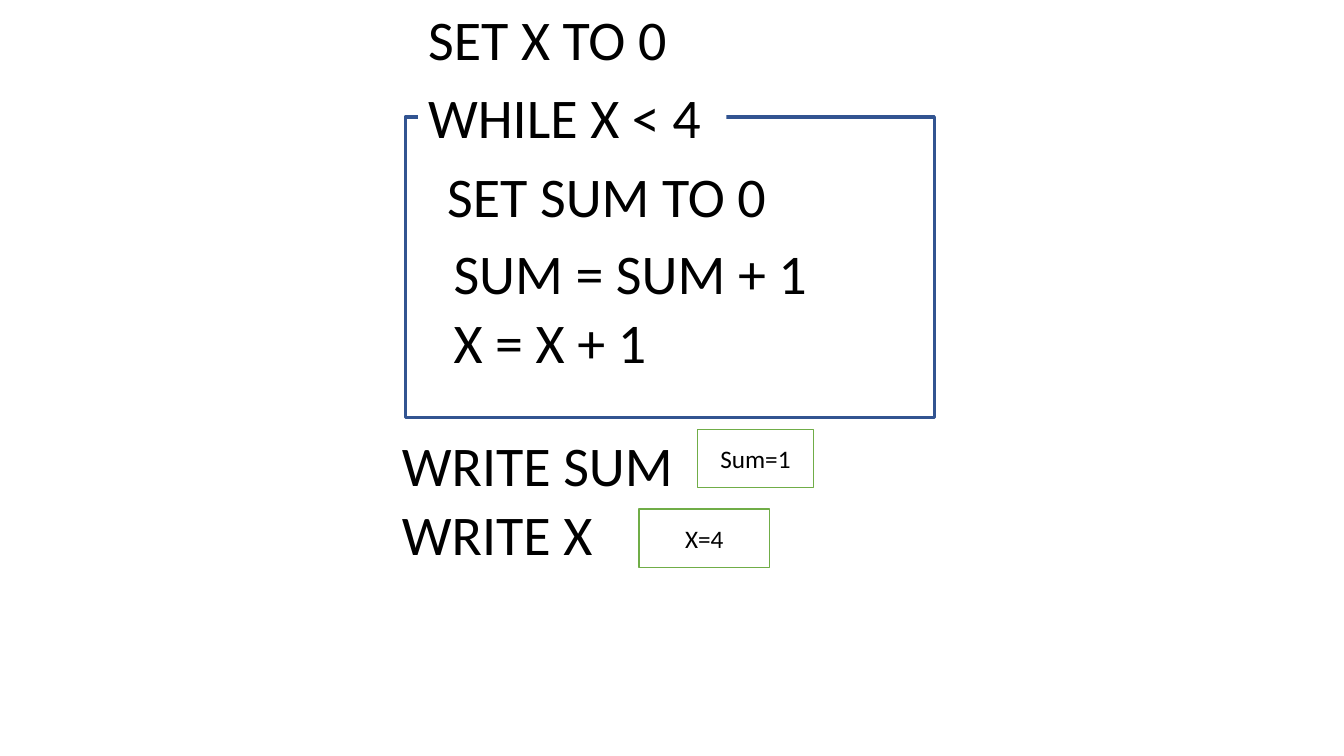
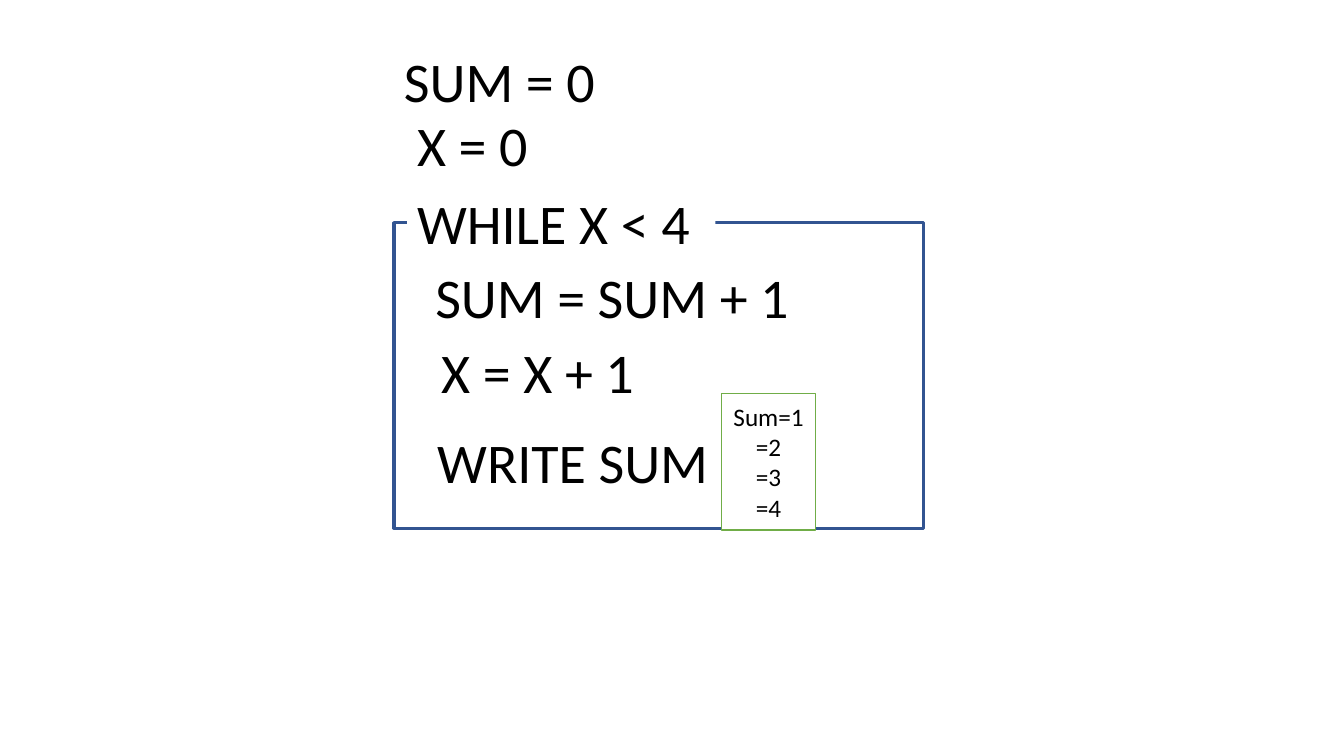
"""Builds two slides that trace WHILE loops and the values they write."""
from dataclasses import dataclass

from pptx import Presentation
from pptx.dml.color import RGBColor
from pptx.enum.shapes import MSO_SHAPE
from pptx.enum.text import MSO_ANCHOR, MSO_AUTO_SIZE, PP_ALIGN
from pptx.shapes.autoshape import Shape
from pptx.slide import Slide
from pptx.util import Cm, Pt

RECTANGLE = MSO_SHAPE.RECTANGLE
MIDDLE = MSO_ANCHOR.MIDDLE
GROW = MSO_AUTO_SIZE.SHAPE_TO_FIT_TEXT
LEFT = PP_ALIGN.LEFT
CENTER = PP_ALIGN.CENTER
BLANK_LAYOUT = 6


@dataclass(frozen=True)
class Theme:
    """Colours, font, type sizes and line widths."""
    paper: RGBColor = RGBColor(0xFF, 0xFF, 0xFF)
    ink: RGBColor = RGBColor(0, 0, 0)
    frame: RGBColor = RGBColor(0x32, 0x54, 0x91)
    output: RGBColor = RGBColor(0x70, 0xAD, 0x47)
    font: str = "Calibri"
    code_size: float = 40
    output_size: float = 18
    frame_width: float = 2.25
    output_width: float = 1


@dataclass(frozen=True)
class Statement:
    """One line of pseudocode and its top left corner in centimetres."""
    text: str
    left: float
    top: float


@dataclass(frozen=True)
class Area:
    """A rectangle in centimetres."""
    left: float
    top: float
    width: float
    height: float


@dataclass(frozen=True)
class Output:
    """The values a WRITE statement shows."""
    text: str
    area: Area


@dataclass(frozen=True)
class Trace:
    """One slide: the loop frame, the statements and the outputs."""
    frame: Area
    statements: tuple[Statement, ...]
    outputs: tuple[Output, ...]


THEME = Theme()
STATEMENT_HEIGHT = 1.97
CONDITION = "WHILE X < 4 "
CONDITION_INDENT = 0.33
CONDITION_RISE = 0.99
STATEMENT_WIDTHS = {
    CONDITION: 7.77,
    "SET X TO 0 ": 6.91,
    "SET SUM TO 0 ": 8.94,
    "SUM = 0 ": 5.69,
    "X = 0 ": 3.63,
    "SUM = SUM + 1 ": 9.83,
    "X = X + 1 ": 5.74,
    "WRITE SUM": 7.42,
    "WRITE X": 5.36,
}

TRACES = (
    Trace(
        Area(10.21, 2.95, 13.34, 7.57),
        (
            Statement("SET X TO 0 ", 10.54, 0),
            Statement("SET SUM TO 0 ", 11.02, 3.94),
            Statement("SUM = SUM + 1 ", 11.18, 5.89),
            Statement("X = X + 1 ", 11.18, 7.62),
            Statement("WRITE SUM", 9.88, 10.72),
            Statement("WRITE X", 9.88, 12.47),
        ),
        (
            Output("X=4", Area(16.1, 12.83, 3.3, 1.47)),
            Output("Sum=1", Area(17.58, 10.82, 2.92, 1.47)),
        ),
    ),
    Trace(
        Area(9.93, 5.61, 13.34, 7.7),
        (
            Statement("X = 0 ", 10.26, 2.67),
            Statement("SUM = 0 ", 9.93, 1.04),
            Statement("SUM = SUM + 1 ", 10.72, 6.5),
            Statement("X = X + 1 ", 10.87, 8.38),
            Statement("WRITE SUM", 10.77, 10.64),
        ),
        (Output("Sum=1\n=2\n=3\n=4", Area(18.19, 9.91, 2.36, 3.45)),),
    ),
)


def place(area: Area) -> tuple[Cm, Cm, Cm, Cm]:
    """Return the position and size of an area as lengths."""
    return Cm(area.left), Cm(area.top), Cm(area.width), Cm(area.height)


def write(box: Shape, text: str, size: float, alignment: PP_ALIGN) -> None:
    """Set the text of a box and format its runs."""
    box.text_frame.text = text
    for para in box.text_frame.paragraphs:
        para.alignment = alignment
        for span in para.runs:
            span.font.name = THEME.font
            span.font.size = Pt(size)
            span.font.color.rgb = THEME.ink


def add_rectangle(page: Slide, area: Area) -> Shape:
    """Add a rectangle without shadow, fill or line."""
    box = page.shapes.add_shape(RECTANGLE, *place(area))
    box.shadow.inherit = False
    box.fill.background()
    box.line.fill.background()
    return box


def fill_paper(box: Shape) -> None:
    """Fill a box with the paper colour."""
    box.fill.solid()
    box.fill.fore_color.rgb = THEME.paper


def outline(box: Shape, color: RGBColor, width: float) -> None:
    """Give a box a solid outline."""
    box.line.color.rgb = color
    box.line.width = Pt(width)


def add_statement(page: Slide, statement: Statement) -> Shape:
    """Add one unwrapped line of pseudocode."""
    area = Area(statement.left, statement.top,
                STATEMENT_WIDTHS[statement.text], STATEMENT_HEIGHT)
    box = page.shapes.add_textbox(*place(area))
    write(box, statement.text, THEME.code_size, LEFT)
    box.text_frame.word_wrap = False
    box.text_frame.auto_size = GROW
    return box


def add_loop(page: Slide, frame: Area) -> None:
    """Add the loop frame with the condition interrupting its top edge."""
    outline(add_rectangle(page, frame), THEME.frame, THEME.frame_width)
    condition = Statement(CONDITION, frame.left + CONDITION_INDENT,
                          frame.top - CONDITION_RISE)
    fill_paper(add_statement(page, condition))


def add_output(page: Slide, output: Output) -> None:
    """Add an outlined box with the written values."""
    box = add_rectangle(page, output.area)
    fill_paper(box)
    outline(box, THEME.output, THEME.output_width)
    write(box, output.text, THEME.output_size, CENTER)
    box.text_frame.word_wrap = True
    box.text_frame.vertical_anchor = MIDDLE


def main() -> None:
    """Build and save the deck."""
    deck = Presentation()
    deck.slide_width, deck.slide_height = Cm(33.87), Cm(19.05)
    for trace in TRACES:
        page = deck.slides.add_slide(deck.slide_layouts[BLANK_LAYOUT])
        add_loop(page, trace.frame)
        for statement in trace.statements:
            add_statement(page, statement)
        for output in trace.outputs:
            add_output(page, output)
    deck.save("out.pptx")


main()
